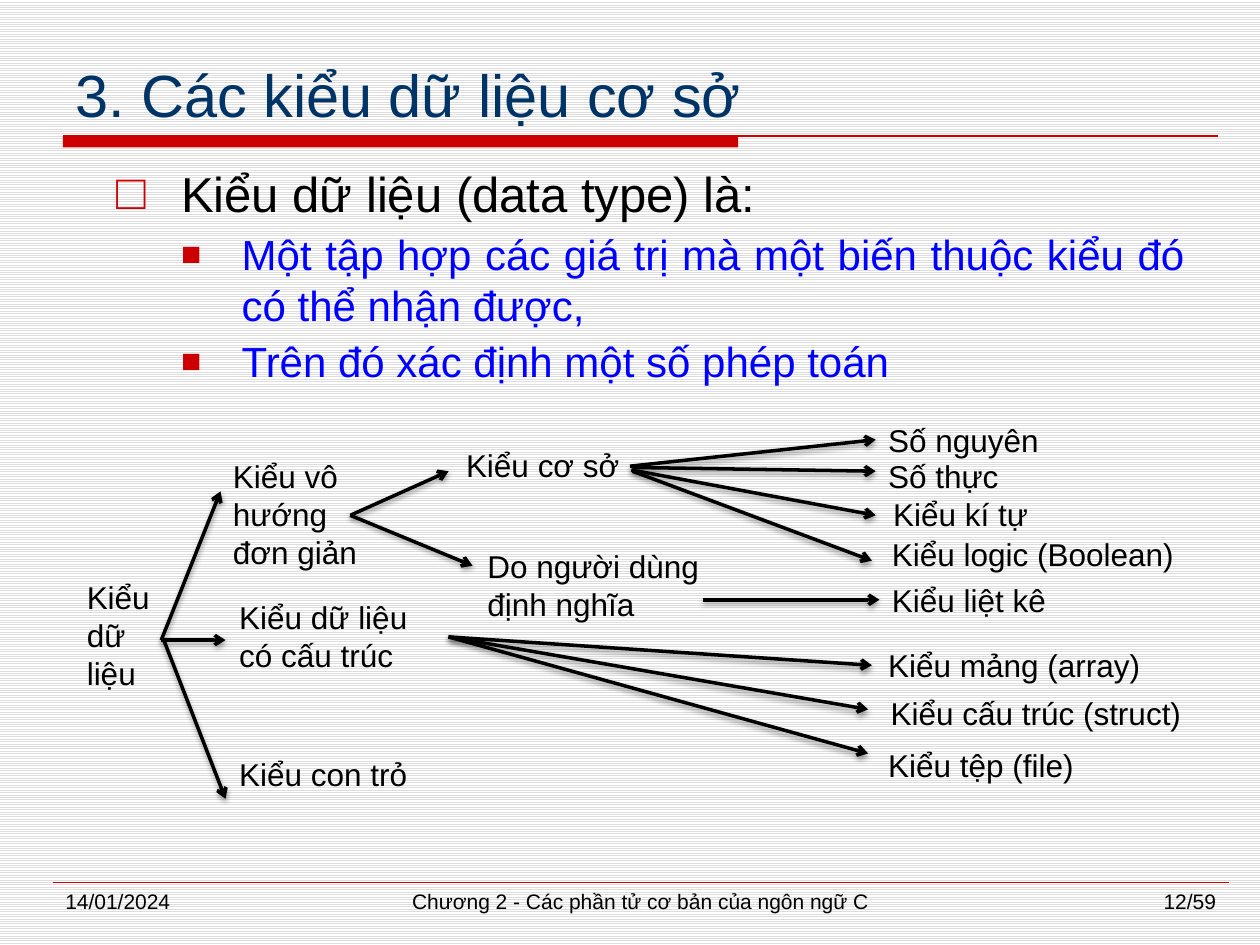
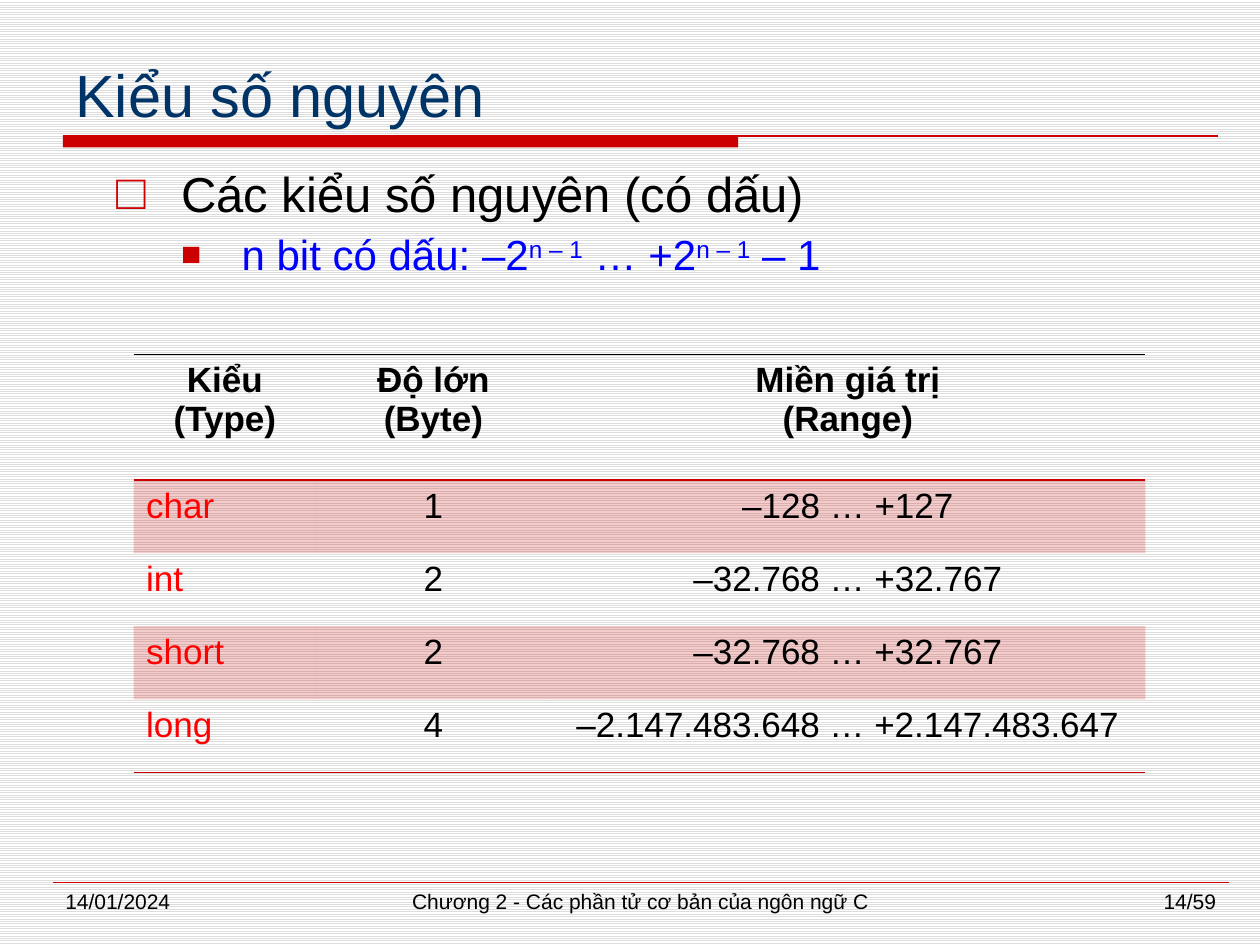
from itertools import product
from math import dist

from lxml.etree import SubElement
from pptx import Presentation
from pptx.dml.color import RGBColor
from pptx.enum.dml import MSO_PATTERN
from pptx.enum.shapes import MSO_CONNECTOR, MSO_SHAPE
from pptx.enum.text import MSO_ANCHOR, PP_ALIGN
from pptx.oxml import parse_xml
from pptx.oxml.ns import nsdecls, qn
from pptx.util import Inches, Pt

BLACK = RGBColor(0x00, 0x00, 0x00)
WHITE = RGBColor(0xFF, 0xFF, 0xFF)
STRIPE = RGBColor(0xDD, 0xDD, 0xDD)
CRIMSON = RGBColor(0xCC, 0x00, 0x00)
NAVY = RGBColor(0x00, 0x33, 0x66)
BLUE = RGBColor(0x00, 0x00, 0xFF)
RED = RGBColor(0xFF, 0x00, 0x00)
PLAIN_TABLE = "{2D5ABB26-0587-4C30-8999-92F81FD0307C}"

FONTS = {
    "title": {"size": Pt(34), "color": NAVY},
    "point": {"size": Pt(28), "color": BLACK},
    "detail": {"size": Pt(24), "color": BLUE},
    "node": {"size": Pt(18), "color": BLACK},
    "footer": {"size": Pt(12), "color": BLACK},
    "heading": {"size": Pt(20), "color": BLACK, "bold": True},
    "type": {"size": Pt(20), "color": RED, "bold": False},
    "value": {"size": Pt(20), "color": BLACK, "bold": False},
}
BULLETS = {
    "point": {"mark": "□", "size": 100, "left": 0.51, "hang": 0.51, "before": 5.6},
    "detail": {"mark": "■", "size": 80, "left": 0.99, "hang": 0.48, "before": 3.6},
}

DATE = "14/01/2024"
CHAPTER = "Chương 2 - Các phần tử cơ bản của ngôn ngữ C"

DATA_TYPES = {
    "title": "3. Các kiểu dữ liệu cơ sở",
    "page": "12/59",
    "points": [
        ("point", ["Kiểu dữ liệu (data type) là:"]),
        ("detail", ["Một tập hợp các giá trị mà một biến thuộc kiểu đó có thể nhận được,"]),
        ("detail", ["Trên đó xác định một số phép toán"]),
    ],
}
INTEGERS = {
    "title": "Kiểu số nguyên",
    "page": "14/59",
    "points": [
        ("point", ["Các kiểu số nguyên (có dấu)"]),
        ("detail", ["n bit có dấu: –2", "n – 1", " … +2", "n – 1", " – 1"]),
    ],
}

TREE = [
    ("Kiểu dữ liệu", 0.59, 4.54, 0.71, 1.01),
    ("Kiểu vô hướng đơn giản", 1.75, 3.58, 1.42, 1.01),
    ("Kiểu dữ liệu có cấu trúc", 1.8, 4.7, 1.76, 0.71),
    ("Kiểu con trỏ", 1.8, 5.94, 1.6, 0.4),
    ("Kiểu cơ sở", 3.6, 3.49, 1.42, 0.4),
    ("Do người dùng định nghĩa", 3.77, 4.29, 1.9, 0.71),
    ("Số nguyên", 6.95, 3.29, 1.42, 0.4),
    ("Số thực", 6.95, 3.58, 1.42, 0.4),
    ("Kiểu kí tự", 6.99, 3.88, 1.42, 0.4),
    ("Kiểu logic (Boolean)", 6.98, 4.2, 2.48, 0.4),
    ("Kiểu liệt kê", 6.98, 4.56, 1.9, 0.4),
    ("Kiểu mảng (array)", 6.95, 5.08, 2.68, 0.4),
    ("Kiểu cấu trúc (struct)", 6.97, 5.46, 2.68, 0.4),
    ("Kiểu tệp (file)", 6.95, 5.87, 2.68, 0.4),
]
BRANCHES = [
    ((1.28, 5.08), [(1.75, 3.9), (1.79, 5.08)]),
    ((1.3, 5.08), [(1.79, 6.34)]),
    ((2.78, 4.09), [(3.56, 3.74), (3.75, 4.49)]),
    ((5, 3.7), [(6.95, 3.49)]),
    ((5.02, 3.71), [(6.95, 3.74)]),
    ((5.01, 3.73), [(6.95, 4.09)]),
    ((5.02, 3.74), [(6.92, 4.45)]),
    ((5.58, 4.76), [(6.98, 4.76)]),
    ((3.56, 5.05), [(6.92, 5.28), (6.89, 5.63), (6.89, 5.98)]),
]

RANGES = [
    ("Kiểu\n(Type)", "Độ lớn\n(Byte)", "Miền giá trị\n(Range)"),
    ("char", "1", "–128 … +127"),
    ("int", "2", "–32.768 … +32.767"),
    ("short", "2", "–32.768 … +32.767"),
    ("long", "4", "–2.147.483.648 … +2.147.483.647"),
]
COLUMN_WIDTHS = [1.45, 1.86, 4.72]
ROW_HEIGHTS = [1] + [0.58] * 4


def add_run(paragraph, text, style):
    run = paragraph.add_run()
    run.text = text
    run.font.name = "Arial"
    for key, value in FONTS[style].items():
        if key == "color":
            run.font.color.rgb = value
        else:
            setattr(run.font, key, value)
    return run


def add_frame(slide, box, anchor=MSO_ANCHOR.TOP):
    holder = slide.shapes.add_textbox(*map(Inches, box))
    holder.text_frame.word_wrap = True
    holder.text_frame.vertical_anchor = anchor
    return holder


def add_label(slide, text, box, style, align=PP_ALIGN.LEFT, anchor=MSO_ANCHOR.TOP):
    label = add_frame(slide, box, anchor)
    paragraph = label.text_frame.paragraphs[0]
    paragraph.alignment = align
    add_run(paragraph, text, style)
    return label


def add_line(slide, start, end, color, width):
    line = slide.shapes.add_connector(
        MSO_CONNECTOR.STRAIGHT, *map(Inches, (*start, *end)))
    line.line.color.rgb = color
    line.line.width = Pt(width)
    effects = SubElement(line._element.spPr, qn("a:effectLst"))
    return line, effects


def set_bullet(paragraph, mark, size, left, hang):
    pPr = paragraph._p.get_or_add_pPr()
    pPr.set("marL", str(Inches(left)))
    pPr.set("indent", str(-Inches(hang)))
    SubElement(SubElement(pPr, qn("a:buClr")), qn("a:srgbClr"), val=str(CRIMSON))
    SubElement(pPr, qn("a:buSzPct"), val=str(size * 1000))
    SubElement(pPr, qn("a:buFont"), typeface="Arial")
    SubElement(pPr, qn("a:buChar"), char=mark)


def add_points(slide, points):
    frame = add_frame(slide, (0.83, 1.25, 8.67, 5.67)).text_frame
    for index, (level, pieces) in enumerate(points):
        paragraph = frame.add_paragraph() if index else frame.paragraphs[0]
        paragraph.alignment = PP_ALIGN.JUSTIFY
        bullet = dict(BULLETS[level])
        before = bullet.pop("before")
        set_bullet(paragraph, **bullet)
        if index:
            paragraph.space_before = Pt(before)
        for position, piece in enumerate(pieces):
            run = add_run(paragraph, piece, level)
            if position % 2:
                run._r.get_or_add_rPr().set("baseline", "30000")


def start_slide(deck, content):
    slide = deck.slides.add_slide(deck.slide_layouts[6])
    backdrop = slide.background.fill
    backdrop.patterned()
    backdrop.pattern = MSO_PATTERN.LIGHT_HORIZONTAL
    backdrop.fore_color.rgb = STRIPE
    backdrop.back_color.rgb = WHITE
    band = slide.shapes.add_shape(
        MSO_SHAPE.RECTANGLE, *map(Inches, (0.5, 1.08, 5.36, 0.09)))
    band.shadow.inherit = False
    band.fill.solid()
    band.fill.fore_color.rgb = CRIMSON
    band.line.fill.background()
    add_line(slide, (0.5, 1.08), (9.67, 1.08), CRIMSON, 1.5)
    add_line(slide, (0.42, 7), (9.75, 7), CRIMSON, 0.25)
    add_label(slide, content["title"], (0.5, 0.33, 9.17, 0.75), "title",
              anchor=MSO_ANCHOR.BOTTOM)
    add_points(slide, content["points"])
    for text, left, width, align in [
        (DATE, 0.42, 2.17, PP_ALIGN.LEFT),
        (CHAPTER, 2.92, 4.33, PP_ALIGN.CENTER),
        (content["page"], 7.58, 2.17, PP_ALIGN.RIGHT),
    ]:
        add_label(slide, text, (left, 7, width, 0.35), "footer", align)
    return slide


def find_joint(point, nodes):
    for node, (left, top, width, height) in nodes:
        middle = top + height / 2
        for site, x in ((1, left), (3, left + width)):
            if dist(point, (x, middle)) < 0.015:
                return node, site
    return None


def add_arrow(slide, start, end, nodes):
    arrow, effects = add_line(slide, start, end, BLACK, 2)
    SubElement(arrow.line._get_or_add_ln(), qn("a:tailEnd"), type="arrow")
    shadow = SubElement(effects, qn("a:outerShdw"), blurRad="40000", dist="20000",
                        dir="5400000", rotWithShape="0")
    shade = SubElement(shadow, qn("a:srgbClr"), val=str(BLACK))
    SubElement(shade, qn("a:alpha"), val="38000")
    for point, connect in ((start, arrow.begin_connect), (end, arrow.end_connect)):
        joint = find_joint(point, nodes)
        if joint:
            connect(*joint)


def add_tree(slide):
    nodes = [(add_label(slide, text, box, "node"), box) for text, *box in TREE]
    for start, tips in BRANCHES:
        for tip in tips:
            add_arrow(slide, start, tip, nodes)


def add_border(cell, side, color, width):
    cell._tc.get_or_add_tcPr().insert(0, parse_xml(
        f'<a:{side} {nsdecls("a")} w="{Pt(width)}"><a:solidFill>'
        f'<a:srgbClr val="{color}"/></a:solidFill></a:{side}>'))


def fill_cell(cell, text, row, column):
    style = "heading" if row == 0 else "type" if column == 0 else "value"
    for index, line in enumerate(text.split("\n")):
        frame = cell.text_frame
        paragraph = frame.add_paragraph() if index else frame.paragraphs[0]
        paragraph.alignment = PP_ALIGN.LEFT if style == "type" else PP_ALIGN.CENTER
        add_run(paragraph, line, style)
    if row % 2:
        cell.fill.solid()
        cell.fill.fore_color.rgb = CRIMSON
        tint = cell._tc.tcPr.find(".//" + qn("a:srgbClr"))
        SubElement(tint, qn("a:alpha"), val="20000")
    else:
        cell.fill.background()
    if row in (0, len(RANGES) - 1):
        add_border(cell, "lnB", CRIMSON, 1)
    if row == 0:
        add_border(cell, "lnT", BLACK, 0.5)


def add_ranges(slide):
    size = (sum(COLUMN_WIDTHS), sum(ROW_HEIGHTS))
    table = slide.shapes.add_table(
        len(ROW_HEIGHTS), len(COLUMN_WIDTHS),
        *map(Inches, (1.06, 2.81, *size))).table
    table._tbl.tblPr.find(qn("a:tableStyleId")).text = PLAIN_TABLE
    table.first_row = table.horz_banding = False
    for column, width in zip(table.columns, COLUMN_WIDTHS):
        column.width = Inches(width)
    for row, height in zip(table.rows, ROW_HEIGHTS):
        row.height = Inches(height)
    for row, column in product(range(len(ROW_HEIGHTS)), range(len(COLUMN_WIDTHS))):
        fill_cell(table.cell(row, column), RANGES[row][column], row, column)


def main():
    deck = Presentation()
    deck.slide_width = Inches(10)
    deck.slide_height = Inches(7.5)
    add_tree(start_slide(deck, DATA_TYPES))
    add_ranges(start_slide(deck, INTEGERS))
    deck.save("out.pptx")


if __name__ == "__main__":
    main()
